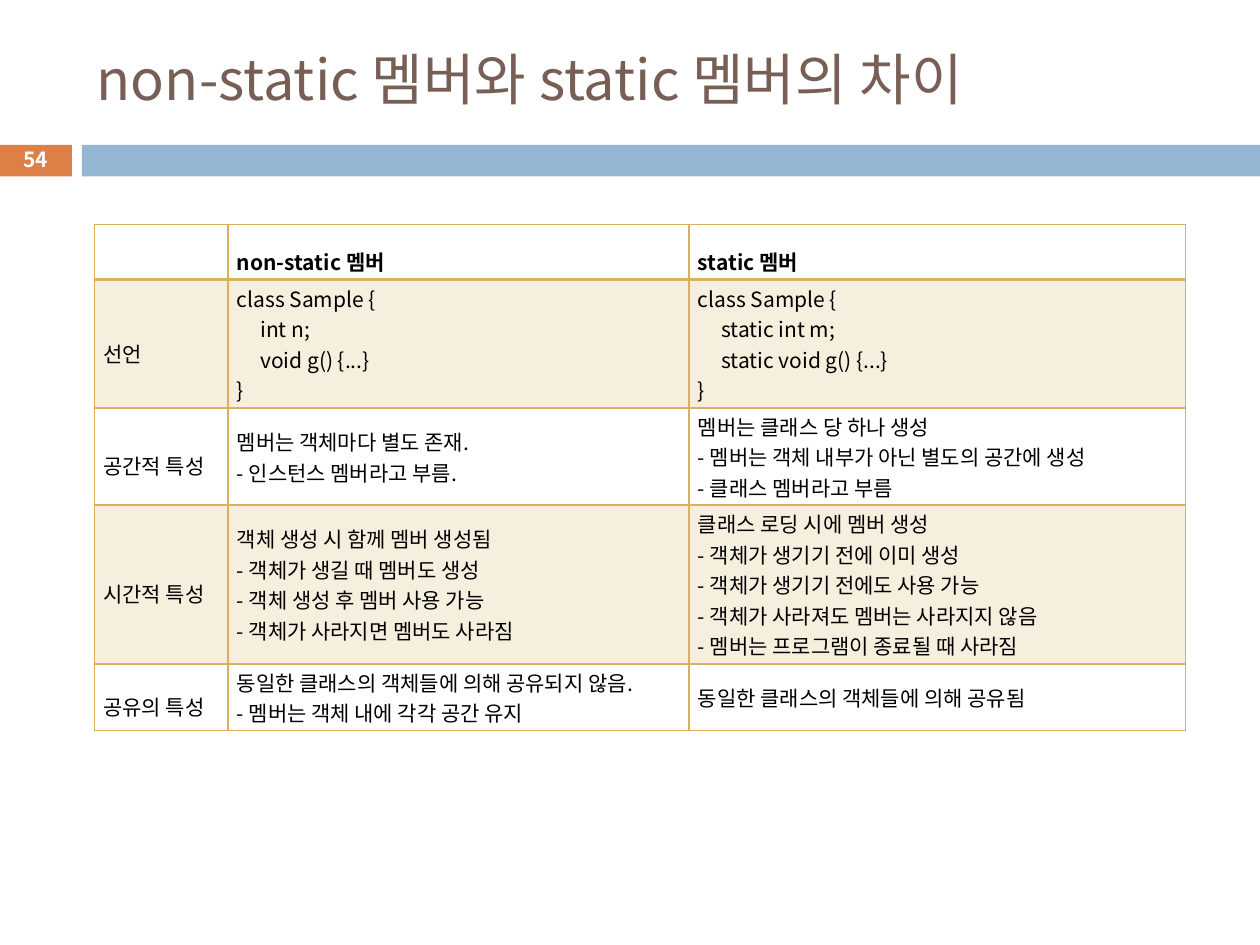
"""Build a slide comparing non-static and static members."""
from lxml.etree import SubElement
from pptx import Presentation
from pptx.dml.color import RGBColor
from pptx.enum.shapes import MSO_SHAPE
from pptx.enum.text import MSO_ANCHOR, PP_ALIGN
from pptx.oxml.ns import qn
from pptx.util import Inches, Pt

FONT = "Noto Sans CJK KR"
GOLD = "D8B25C"
TITLE = "non-static 멤버와 static 멤버의 차이"
PAGE_NUMBER = "54"
COLUMN_WIDTHS = [1.06, 3.66, 3.94]
ROW_HEIGHTS = [0.44, 1.02, 0.77, 1.26, 0.53]
ROWS = [
    ([], ["non-static 멤버"], ["static 멤버"]),
    (
        ["선언"],
        ["class Sample {", "     int n;", "     void g() {...}", "}"],
        ["class Sample {", "     static int m;", "     static void g() {...}", "}"],
    ),
    (
        ["공간적 특성"],
        ["멤버는 객체마다 별도 존재.", "- 인스턴스 멤버라고 부름."],
        ["멤버는 클래스 당 하나 생성", "- 멤버는 객체 내부가 아닌 별도의 공간에 생성", "- 클래스 멤버라고 부름"],
    ),
    (
        ["시간적 특성"],
        ["객체 생성 시 함께 멤버 생성됨", "- 객체가 생길 때 멤버도 생성",
         "- 객체 생성 후 멤버 사용 가능", "- 객체가 사라지면 멤버도 사라짐"],
        ["클래스 로딩 시에 멤버 생성", "- 객체가 생기기 전에 이미 생성",
         "- 객체가 생기기 전에도 사용 가능", "- 객체가 사라져도 멤버는 사라지지 않음",
         "- 멤버는 프로그램이 종료될 때 사라짐"],
    ),
    (
        ["공유의 특성"],
        ["동일한 클래스의 객체들에 의해 공유되지 않음.", "- 멤버는 객체 내에 각각 공간 유지"],
        ["동일한 클래스의 객체들에 의해 공유됨"],
    ),
]


def color(value):
    return RGBColor.from_string(value)


def write(para, text, size, ink, bold=False):
    span = para.add_run()
    span.text = text
    span.font.size = Pt(size)
    span.font.bold = bold
    span.font.name = FONT
    span.font.color.rgb = color(ink)
    SubElement(span.font._element, qn("a:ea"), typeface=FONT)


def add_bar(page, left, width, fill):
    bar = page.shapes.add_shape(
        MSO_SHAPE.RECTANGLE, Inches(left), Inches(1.15), Inches(width), Inches(0.25))
    bar.shadow.inherit = False
    bar.fill.solid()
    bar.fill.fore_color.rgb = color(fill)
    bar.line.fill.background()


def add_label(page, place, text, size, ink, bold=False, align=PP_ALIGN.LEFT):
    frame = page.shapes.add_textbox(*map(Inches, place)).text_frame
    frame.word_wrap = True
    frame.vertical_anchor = MSO_ANCHOR.MIDDLE
    para = frame.paragraphs[0]
    para.alignment = align
    write(para, text, size, ink, bold)


def add_borders(cell, bottom_width, top_width):
    properties = cell._tc.get_or_add_tcPr()
    for side, width in (("L", 1), ("R", 1), ("T", top_width), ("B", bottom_width)):
        line = SubElement(properties, qn(f"a:ln{side}"), w=str(Pt(width)))
        SubElement(SubElement(line, qn("a:solidFill")), qn("a:srgbClr"), val=GOLD)


def fill_cell(cell, shaded):
    if not shaded:
        cell.fill.background()
        return
    cell.fill.solid()
    cell.fill.fore_color.rgb = color(GOLD)
    tint = cell._tc.tcPr.find(qn("a:solidFill")).find(qn("a:srgbClr"))
    SubElement(tint, qn("a:alpha"), val="20000")


def write_cell(cell, lines, spaced, bold):
    cell.vertical_anchor = MSO_ANCHOR.MIDDLE
    cell.margin_left = cell.margin_right = Inches(0.07)
    cell.margin_top = cell.margin_bottom = Inches(0.02)
    frame = cell.text_frame
    for index, text in enumerate(lines):
        para = frame.add_paragraph() if index else frame.paragraphs[0]
        para.alignment = PP_ALIGN.JUSTIFY
        if spaced:
            para.line_spacing = 1.6
        write(para, text, 12, "000000", bold)


def add_comparison(page):
    table = page.shapes.add_table(
        len(ROW_HEIGHTS), len(COLUMN_WIDTHS), Inches(0.75), Inches(1.78),
        Inches(sum(COLUMN_WIDTHS)), Inches(sum(ROW_HEIGHTS))).table
    table.first_row = table.horz_banding = False
    for column, width in zip(table.columns, COLUMN_WIDTHS):
        column.width = Inches(width)
    for row_index, contents in enumerate(ROWS):
        table.rows[row_index].height = Inches(ROW_HEIGHTS[row_index])
        header = row_index == 0
        for column_index, lines in enumerate(contents):
            cell = table.cell(row_index, column_index)
            add_borders(cell, 2 if header else 1, 2 if row_index == 1 else 1)
            fill_cell(cell, row_index % 2 == 1)
            write_cell(cell, lines, header or column_index == 0, header)


def main():
    deck = Presentation()
    deck.slide_width, deck.slide_height = Inches(10), Inches(7.5)
    page = deck.slides.add_slide(deck.slide_layouts[6])
    add_bar(page, -0.01, 0.58, "DD8047")
    add_bar(page, 0.65, 9.35, "94B6D2")
    add_label(page, (0.67, 0.25, 8.92, 0.74), TITLE, 32, "775F55")
    add_comparison(page)
    add_label(page, (-0.01, 1.13, 0.58, 0.27), PAGE_NUMBER, 11.9, "FFFFFF", True, PP_ALIGN.CENTER)
    deck.save("out.pptx")


if __name__ == "__main__":
    main()
